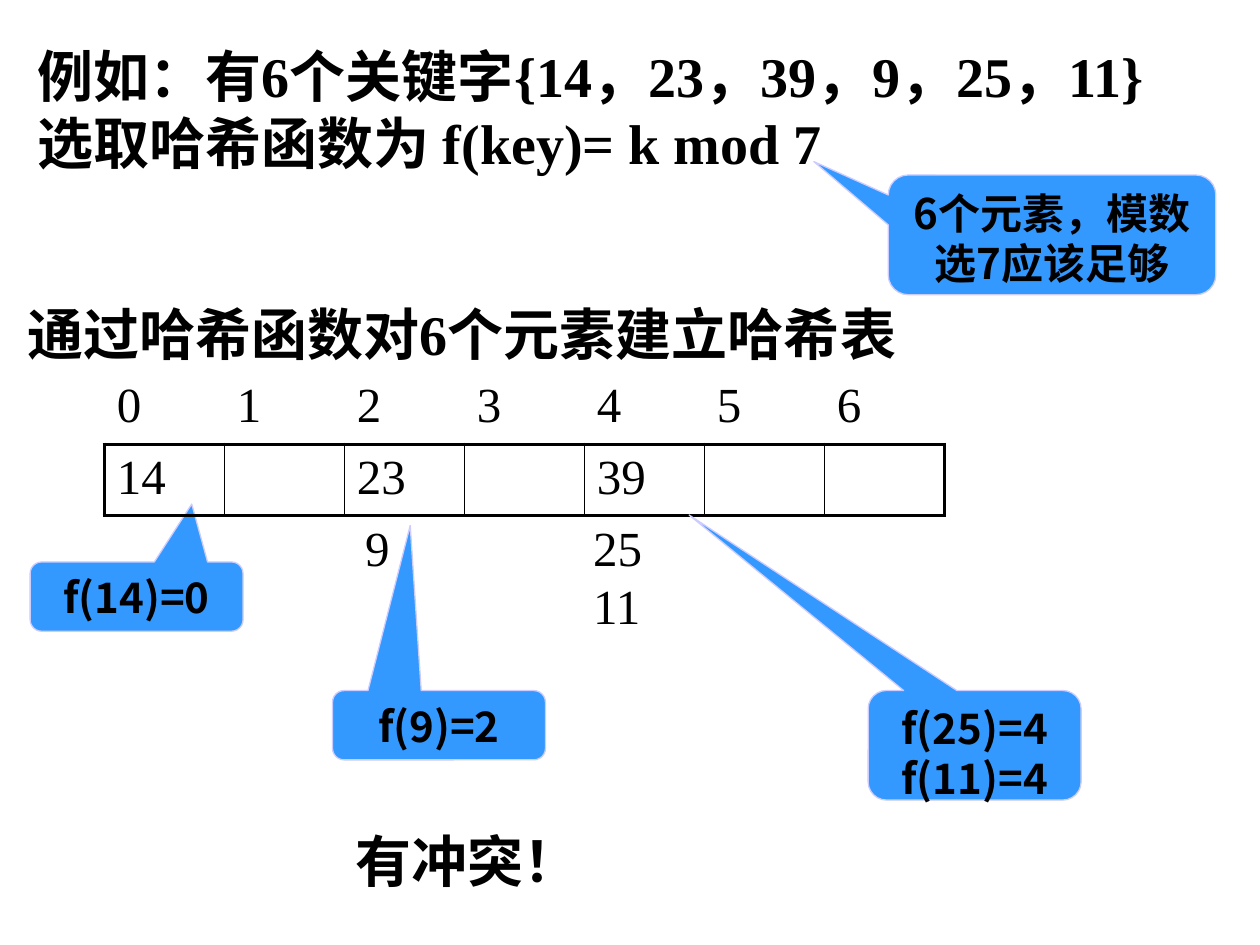
from pptx import Presentation
from pptx.dml.color import RGBColor
from pptx.enum.shapes import MSO_SHAPE
from pptx.enum.text import MSO_AUTO_SIZE, MSO_ANCHOR, PP_ALIGN
from pptx.oxml.ns import qn
from pptx.util import Pt
from lxml import etree

CALLOUT = MSO_SHAPE.ROUNDED_RECTANGULAR_CALLOUT
TOP = MSO_ANCHOR.TOP
CENTER = PP_ALIGN.CENTER
GROW = MSO_AUTO_SIZE.SHAPE_TO_FIT_TEXT

COLORS = {"ink": "000000", "callout": "3399FF", "edge": "CCCCFF"}
SERIF = "Times New Roman"
SANS = "Noto Sans CJK SC"
NO_STYLE = "{2D5ABB26-0587-4C30-8999-92F81FD0307C}"
THICK, THIN = 2.25, 1


def color(name):
    return RGBColor.from_string(COLORS[name])


def set_font(para, name, size, bold=False):
    """Format a paragraph, with the sans face for its Chinese characters."""
    font = para.font
    font.name, font.size, font.bold = name, Pt(size), bold
    font.color.rgb = color("ink")
    east_asian = etree.Element(qn("a:ea"), typeface=SANS)
    para.font._element.find(qn("a:latin")).addnext(east_asian)


def write_lines(frame, lines, name, size, bold=False, align=None, before=0):
    for index, line in enumerate(lines):
        para = frame.add_paragraph() if index else frame.paragraphs[0]
        para.text = line
        para.alignment = align
        para.space_before = Pt(before)
        set_font(para, name, size, bold)


def add_text(page, box, lines, size=32, bold=True, before=0):
    label = page.shapes.add_textbox(*map(Pt, box))
    frame = label.text_frame
    frame.word_wrap = True
    frame.auto_size = GROW
    write_lines(frame, lines, SERIF, size, bold, before=before)


def add_callout(page, box, tip, lines):
    """Add a rounded callout; tip is its offset from the centre in box sizes."""
    callout = page.shapes.add_shape(CALLOUT, *map(Pt, box))
    callout.shadow.inherit = False
    for index, value in enumerate((*tip, 0.167)):
        callout.adjustments[index] = value
    callout.fill.solid()
    callout.fill.fore_color.rgb = color("callout")
    callout.line.color.rgb = color("edge")
    callout.line.width = Pt(0.75)
    frame = callout.text_frame
    frame.word_wrap = True
    frame.vertical_anchor = TOP
    write_lines(frame, lines, SANS, 24, True, CENTER)


def set_borders(cell, **widths):
    """Draw the sides given as L, R, T and B, in that order."""
    properties = cell._tc.get_or_add_tcPr()
    for side, width in widths.items():
        line = etree.SubElement(properties, qn(f"a:ln{side}"), w=str(Pt(width)))
        fill = etree.SubElement(line, qn("a:solidFill"))
        etree.SubElement(fill, qn("a:srgbClr"), val=COLORS["ink"])


def add_hash_table(page, box, keys):
    """Number the slots in the first row and frame their keys in the second."""
    count = len(keys)
    table = page.shapes.add_table(2, count, *map(Pt, box)).table
    table.first_row = table.horz_banding = False
    table._tbl.tblPr.find(qn("a:tableStyleId")).text = NO_STYLE
    for column in table.columns:
        column.width = Pt(box[2] / count)
    for slot, key in enumerate(keys):
        head, body = table.cell(0, slot), table.cell(1, slot)
        set_borders(head, B=THICK)
        set_borders(
            body,
            L=THIN if slot else THICK,
            R=THIN if slot < count - 1 else THICK,
            T=THICK,
            B=THICK,
        )
        for cell, text in ((head, str(slot)), (body, key)):
            cell.fill.background()
            write_lines(cell.text_frame, [text], SERIF, 28)


def build_slide(page):
    add_text(page, (14.4, 20.2, 674.6, 84.2), [
        "例如：有6个关键字{14，23，39，9，25，11}",
        "选取哈希函数为 f(key)= k mod 7",
    ])
    add_callout(page, (507.6, 100, 187.2, 68.4), (-0.727, -0.612),
                ["6个元素，模数选7应该足够"])
    add_text(page, (8.6, 167.8, 623.5, 45.4), ["通过哈希函数对6个元素建立哈希表"])

    add_callout(page, (17.2, 321.1, 121.7, 39.6), (0.259, -1.336), ["f(14)=0"])
    add_hash_table(page, (59.6, 213, 480, 81.6),
                   ["14", "", "23", "", "39", "", ""])
    add_callout(page, (190, 394.6, 121.7, 39.6), (-0.135, -2.882), ["f(9)=2"])
    add_callout(page, (496.1, 394.6, 121.7, 62.6), (-1.341, -2.103),
                ["f(25)=4", "f(11)=4"])

    for left, top, key in ((201.6, 292.3, "9"), (331.9, 292.3, "25"),
                           (331.9, 325.4, "11")):
        add_text(page, (left, top, 68.4, 41), [key], 28, False, before=3.6)
    add_text(page, (195.8, 468.7, 164.2, 45.4), ["有冲突！"])


def main():
    deck = Presentation()
    deck.slide_width, deck.slide_height = Pt(720), Pt(540)
    build_slide(deck.slides.add_slide(deck.slide_layouts[6]))
    deck.save("out.pptx")


if __name__ == "__main__":
    main()
